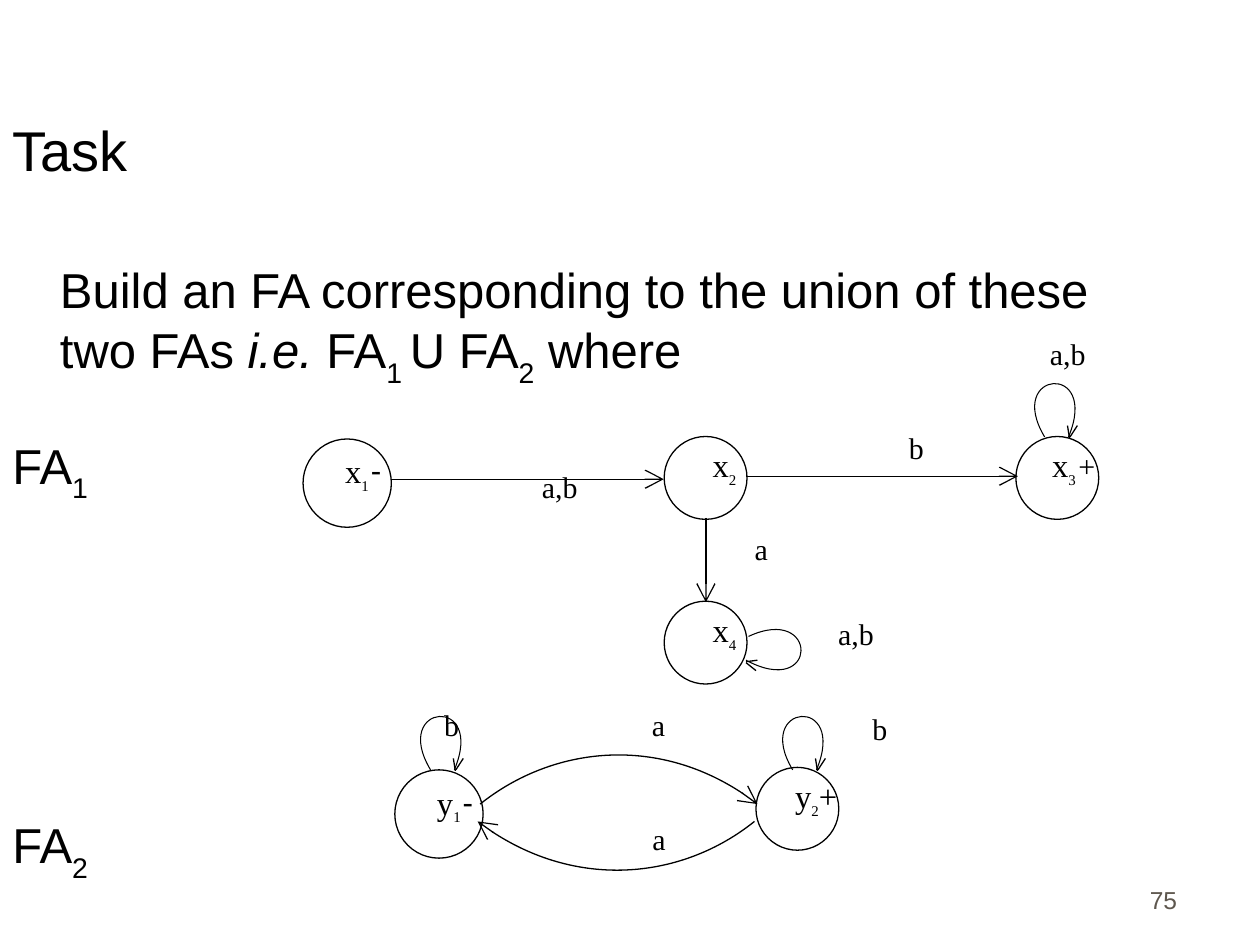
from lxml import etree
from pptx import Presentation
from pptx.dml.color import RGBColor
from pptx.enum.shapes import MSO_CONNECTOR, MSO_SHAPE
from pptx.enum.text import MSO_ANCHOR, PP_ALIGN
from pptx.oxml.ns import qn
from pptx.util import Cm, Pt

BLACK = RGBColor(0x00, 0x00, 0x00)
WHITE = RGBColor(0xFF, 0xFF, 0xFF)
NUMBER_GREY = RGBColor(0x5E, 0x57, 0x4E)
CENTER, LEFT, RIGHT = PP_ALIGN.CENTER, PP_ALIGN.LEFT, PP_ALIGN.RIGHT
BOTTOM = MSO_ANCHOR.BOTTOM
OVAL, STRAIGHT = MSO_SHAPE.OVAL, MSO_CONNECTOR.STRAIGHT

BODY = {"name": "Arial", "size": Pt(28)}
SYMBOL = {"name": "Times New Roman", "size": Pt(18.6)}
INDEX = {"name": "Times New Roman", "size": Pt(14.7), "sub": True}
INDEX_GAP = {"name": "Times New Roman", "size": Pt(10.1), "sub": True}
MINUS = {"name": "Roboto", "size": Pt(18.6)}
PLUS = {"name": "Times New Roman", "size": Pt(17.1)}
EDGE = {"name": "Times New Roman", "size": Pt(17.1)}

# Left, top and diameter of each state, left and top of its label (cm), label
STATES = [
    (6.11, 8.85, 1.78, 6.3, 9.07,
     [("x", SYMBOL), ("1", INDEX), (" ", INDEX_GAP), ("-", MINUS)]),
    (13.39, 8.8, 1.67, 13.59, 8.95, [("x", SYMBOL), ("2", INDEX)]),
    (20.48, 8.8, 1.67, 20.63, 8.95,
     [("x", SYMBOL), ("3", INDEX), (" ", INDEX_GAP), ("+", PLUS)]),
    (13.39, 12.12, 1.67, 13.59, 12.27, [("x", SYMBOL), ("4", INDEX)]),
    (7.96, 15.52, 1.78, 8.15, 15.75,
     [("y", SYMBOL), ("1", INDEX), (" ", INDEX_GAP), ("-", MINUS)]),
    (15.24, 15.47, 1.67, 15.44, 15.62,
     [("y", SYMBOL), ("2", INDEX), ("+", SYMBOL)]),
]
TRANSITIONS = [
    (7.88, 9.66, 13.38, 9.66),
    (15.04, 9.6, 20.52, 9.6),
    (14.23, 10.44, 14.23, 12.14),
]
ARCS = [
    [(9.68, 16.21), (11.12, 15.06), (13.44, 14.78), (15.27, 16.21)],
    [(15.21, 16.56), (13.79, 17.7), (11.48, 17.98), (9.63, 16.56)],
]
# Curve and the two strokes of the arrowhead of a loop, relative to its start
TOP_LOOP = ([(0, 0), (-0.81, -1.35), (1.12, -1.52), (0.48, 0)],
            [(0.51, 0), (0.66, -0.23)],
            [(0.46, -0.23), (0.5, 0.02)])
SIDE_LOOP = ([(0, 0), (1.42, -0.66), (1.42, 1.27), (-0.05, 0.48)],
             [(-0.05, 0.53), (0.15, 0.69)],
             [(0.18, 0.48), (-0.05, 0.51)])
LOOPS = [
    (21.06, 8.81, TOP_LOOP),
    (8.68, 15.52, TOP_LOOP),
    (15.98, 15.52, TOP_LOOP),
    (15.09, 12.83, SIDE_LOOP),
]
EDGE_LABELS = [
    (20.24, 6.78, "a,b"), (17.19, 8.67, "b"), (10, 9.47, "a,b"),
    (15.97, 12.42, "a,b"), (14.06, 10.72, "a"), (11.99, 14.25, "a"),
    (12, 16.56, "a"), (16.45, 14.35, "b"), (7.82, 14.25, "b"),
]


def add_run(paragraph, text, style, color=BLACK):
    run = paragraph.add_run()
    run.text = text
    run.font.color.rgb = color
    for key, value in style.items():
        if key == "sub":
            run.font._element.set("baseline", "-30000")
        else:
            setattr(run.font, key, value)


def fill_paragraph(paragraph, runs, layout, color=BLACK):
    for key, value in layout.items():
        setattr(paragraph, key, value)
    for text, style in runs:
        add_run(paragraph, text, style, color)


def add_text_frame(slide, left, top, width, height):
    box = slide.shapes.add_textbox(Cm(left), Cm(top), Cm(width), Cm(height))
    box.text_frame.word_wrap = True
    return box.text_frame


def add_label(slide, left, top, width, height, runs):
    frame = add_text_frame(slide, left, top, width, height)
    fill_paragraph(frame.paragraphs[0], runs, {"alignment": CENTER, "line_spacing": 0.8})


def add_arrowhead(line):
    """Put a large open arrowhead on the far end of a line."""
    etree.SubElement(line._get_or_add_ln(), qn("a:tailEnd"),
                     type="arrow", w="lg", len="lg")


def format_line(line, width=0.75):
    line.color.rgb = BLACK
    line.width = Pt(width)


def add_title(slide):
    title = slide.shapes.title
    title.left, title.top, title.width, title.height = Cm(0), Cm(0.64), Cm(21.59), Cm(3.18)
    title.text_frame.vertical_anchor = BOTTOM
    fill_paragraph(title.text_frame.paragraphs[0],
                   [("Task", {"name": "Arial", "size": Pt(32)})], {"alignment": LEFT})


def add_task_text(slide):
    frame = add_text_frame(slide, 0, 5.25, 22.71, 11.58)
    subscript = {**BODY, "sub": True}
    task = [
        ("Build an FA corresponding to the union of these two FAs ", BODY),
        ("i.e. ", {**BODY, "italic": True}), ("FA", BODY), ("1 ", subscript),
        ("U FA", BODY), ("2", subscript), (" where", BODY),
    ]
    paragraph = frame.paragraphs[0]
    fill_paragraph(paragraph, task, {"line_spacing": 0.9})
    paragraph._p.get_or_add_pPr().set("marL", str(Cm(0.96)))
    for index, gap in (("1", 30.5), ("2", 181)):
        fill_paragraph(frame.add_paragraph(), [("FA", BODY), (index, subscript)],
                       {"line_spacing": 0.9, "space_before": Pt(gap)})


def add_page_number(slide):
    frame = add_text_frame(slide, 18.7, 17.29, 5.28, 1.27)
    frame.vertical_anchor = BOTTOM
    fill_paragraph(frame.paragraphs[0], [("75", {"name": "Arial", "size": Pt(14)})],
                   {"alignment": RIGHT}, NUMBER_GREY)


def add_state(slide, left, top, diameter, label_left, label_top, label):
    circle = slide.shapes.add_shape(OVAL, Cm(left), Cm(top), Cm(diameter), Cm(diameter))
    circle.shadow.inherit = False
    circle.fill.solid()
    circle.fill.fore_color.rgb = WHITE
    format_line(circle.line)
    add_label(slide, label_left, label_top, 2.03, 1.16, label)


def add_transition(slide, x1, y1, x2, y2):
    arrow = slide.shapes.add_connector(STRAIGHT, Cm(x1), Cm(y1), Cm(x2), Cm(y2))
    format_line(arrow.line)
    add_arrowhead(arrow.line)
    etree.SubElement(arrow._element.spPr, qn("a:effectLst"))


def add_stroke(slide, points, width=0.75):
    start, *rest = [(Cm(x), Cm(y)) for x, y in points]
    builder = slide.shapes.build_freeform(*start)
    builder.add_line_segments(rest, close=False)
    stroke = builder.convert_to_shape()
    stroke.shadow.inherit = False
    stroke.fill.background()
    format_line(stroke.line, width)
    return stroke


def add_curve(slide, controls, width=0.75):
    """Draw one cubic curve through its start, two control points and end."""
    curve = add_stroke(slide, controls, width)
    outline = next(curve._element.iter(qn("a:path")))
    cubic = etree.SubElement(outline, qn("a:cubicBezTo"))
    for segment in outline.findall(qn("a:lnTo")):
        cubic.append(segment[0])
        outline.remove(segment)
    return curve


def add_loop(slide, x, y, form):
    curve, *head = [[(x + dx, y + dy) for dx, dy in part] for part in form]
    add_curve(slide, curve, 0.6)
    for barb in head:
        add_stroke(slide, barb)


def main():
    prs = Presentation()
    prs.slide_width, prs.slide_height = Cm(25.4), Cm(19.05)
    slide = prs.slides.add_slide(prs.slide_layouts[5])
    add_title(slide)
    add_task_text(slide)
    add_page_number(slide)
    for state in STATES:
        add_state(slide, *state)
    for transition in TRANSITIONS:
        add_transition(slide, *transition)
    for arc in ARCS:
        add_arrowhead(add_curve(slide, arc).line)
    for loop in LOOPS:
        add_loop(slide, *loop)
    for left, top, text in EDGE_LABELS:
        add_label(slide, left, top, 2.57, 1.04, [(text, EDGE)])
    prs.save("out.pptx")


if __name__ == "__main__":
    main()
